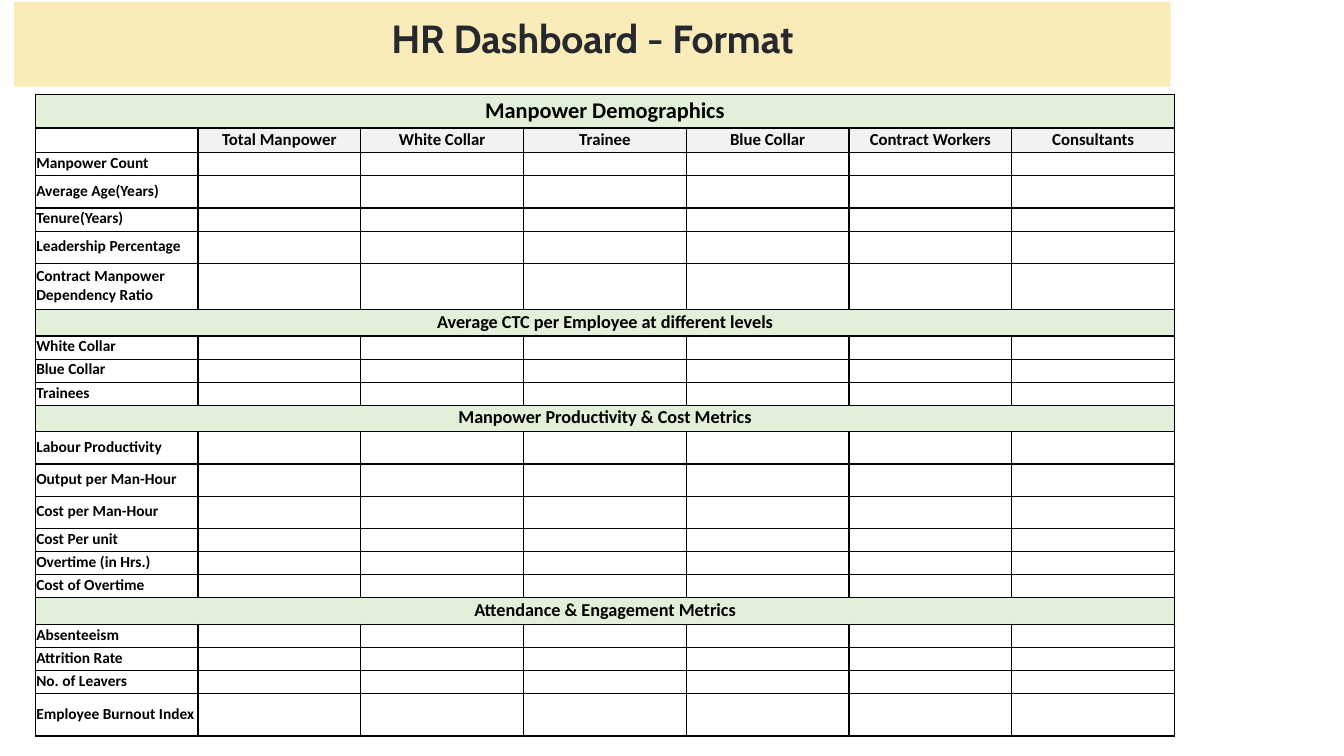
from lxml import etree
from pptx import Presentation
from pptx.dml.color import RGBColor
from pptx.enum import shapes, text
from pptx.oxml.ns import qn
from pptx.util import Inches, Pt

BLACK = RGBColor(0x00, 0x00, 0x00)
INK = RGBColor(0x27, 0x27, 0x2E)
CREAM = RGBColor(0xF9, 0xEC, 0xB8)
GREEN = RGBColor(0xE2, 0xF0, 0xD9)
GREY = RGBColor(0xF2, 0xF2, 0xF2)

TITLE = "HR Dashboard - Format"
GROUPS = ["Total Manpower", "White Collar", "Trainee", "Blue Collar",
          "Contract Workers", "Consultants"]
LOW, TALL = 0.23, 0.32  # usual heights of metric rows

# Each section: heading, heading size, heading height, metrics with row heights
SECTIONS = [
    ("Manpower Demographics", 16, 0.33, [
        ("Manpower Count", LOW), ("Average Age(Years)", TALL),
        ("Tenure(Years)", LOW), ("Leadership Percentage", TALL),
        ("Contract Manpower Dependency Ratio", 0.46)]),
    ("Average CTC per Employee at different levels", 13, 0.26, [
        ("White Collar", LOW), ("Blue Collar", LOW), ("Trainees", LOW)]),
    ("Manpower Productivity & Cost Metrics", 13, 0.26, [
        ("Labour Productivity", TALL), ("Output per Man-Hour", TALL),
        ("Cost per Man-Hour", TALL), ("Cost Per unit", LOW),
        ("Overtime (in Hrs.)", LOW), ("Cost of Overtime", LOW)]),
    ("Attendance & Engagement Metrics", 13, 0.26, [
        ("Absenteeism", LOW), ("Attrition Rate", LOW),
        ("No. of Leavers", LOW), ("Employee Burnout Index", 0.42)]),
]


def set_all(target, values):
    for name, value in values.items():
        setattr(target, name, value)


def write(paragraph, words, size, font, color, align):
    paragraph.alignment = align
    run = paragraph.add_run()
    run.text = words
    set_all(run.font, {"size": Pt(size), "name": font, "bold": True})
    run.font.color.rgb = color


def add_title(slide, left, top, width, height):
    # Cream band
    band = slide.shapes.add_shape(shapes.MSO_SHAPE.RECTANGLE, Inches(left),
                                  Inches(top), Inches(width), Inches(height))
    band.shadow.inherit = False
    band.fill.solid()
    band.fill.fore_color.rgb = CREAM
    band.line.fill.background()

    # Heading, raised a little above the middle of the band
    rise = 0.21
    heading = slide.shapes.add_textbox(Inches(left), Inches(top - rise),
                                       Inches(width), Inches(height + rise))
    frame = heading.text_frame
    set_all(frame, {"word_wrap": True,
                    "vertical_anchor": text.MSO_ANCHOR.MIDDLE})
    set_all(frame, dict.fromkeys(
        ["margin_left", "margin_top", "margin_right", "margin_bottom"],
        Inches(0.04)))
    frame.paragraphs[0].line_spacing = Pt(39.2)
    write(frame.paragraphs[0], TITLE, 28, "Cabin", INK, text.PP_ALIGN.CENTER)


def add_borders(cell):
    properties = cell._tc.get_or_add_tcPr()
    for position, side in enumerate(["lnL", "lnR", "lnT", "lnB"]):
        line = etree.Element(qn(f"a:{side}"), w=str(Pt(1)))
        fill = etree.SubElement(line, qn("a:solidFill"))
        etree.SubElement(fill, qn("a:srgbClr"), val=str(BLACK))
        properties.insert(position, line)


def fill_cell(cell, words="", size=11, fill=None, align=text.PP_ALIGN.LEFT):
    set_all(cell, {"margin_left": Inches(0.01), "margin_top": Inches(0.01),
                   "margin_right": Inches(0.01), "margin_bottom": Inches(0.03),
                   "vertical_anchor": text.MSO_ANCHOR.MIDDLE})
    if fill is None:
        cell.fill.background()
    else:
        cell.fill.solid()
        cell.fill.fore_color.rgb = fill
    add_borders(cell)
    paragraph = cell.text_frame.paragraphs[0]
    if words:
        write(paragraph, words, size, "Calibri", BLACK, align)
    else:  # keeps an empty cell from stretching its row
        etree.SubElement(paragraph._p, qn("a:endParaRPr"), sz=str(size * 100))


def add_metrics(slide, left, top, width):
    # Rows in order: height, cell texts and format of the filled cells
    centred = {"align": text.PP_ALIGN.CENTER}
    rows = []
    for heading, size, height, metrics in SECTIONS:
        rows.append((height, [heading], {"size": size, "fill": GREEN, **centred}))
        if len(rows) == 1:
            rows.append((0.24, ["", *GROUPS],
                         {"size": 12, "fill": GREY, **centred}))
        rows += [(tall, [metric], {}) for metric, tall in metrics]

    columns = len(GROUPS) + 1
    total = sum(height for height, _, _ in rows)
    table = slide.shapes.add_table(len(rows), columns, Inches(left), Inches(top),
                                   Inches(width), Inches(total)).table
    set_all(table, {"first_row": False, "horz_banding": False})
    for column in table.columns:
        column.width = Inches(width / columns)

    for index, (height, words, style) in enumerate(rows):
        table.rows[index].height = Inches(height)
        for column in range(columns):
            label = words[column] if column < len(words) else ""
            fill_cell(table.cell(index, column), label, **(style if label else {}))
        if style.get("fill") == GREEN:
            table.cell(index, 0).merge(table.cell(index, columns - 1))


def main():
    deck = Presentation()
    set_all(deck, {"slide_width": Inches(13.33), "slide_height": Inches(7.5)})
    slide = deck.slides.add_slide(deck.slide_layouts[6])
    add_metrics(slide, 0.35, 0.94, 11.3)
    add_title(slide, 0.14, 0.02, 11.47, 0.84)
    deck.save("out.pptx")


if __name__ == "__main__":
    main()
